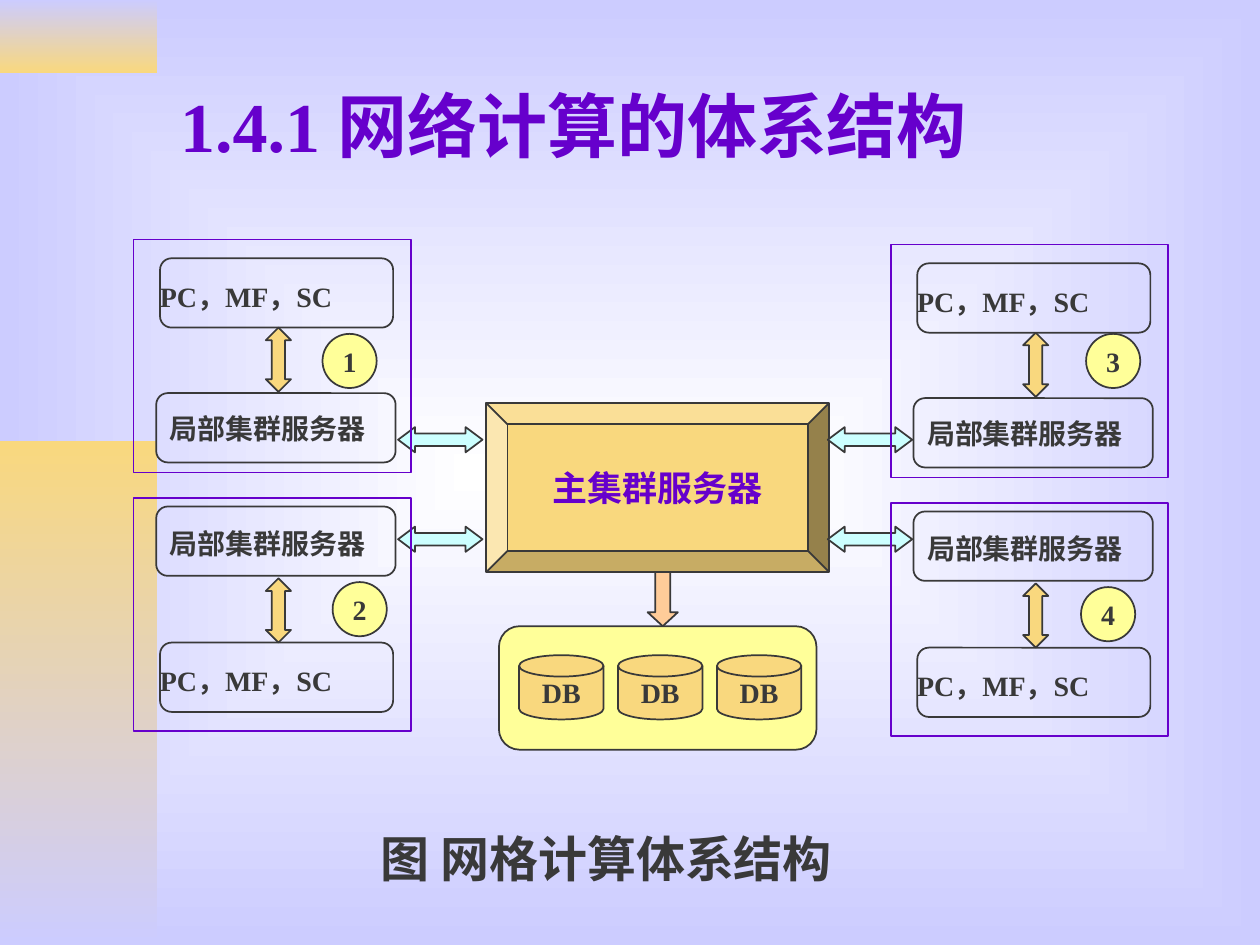
"""Build the slide on the architecture of network computing."""
from lxml.etree import SubElement
from pptx import Presentation
from pptx.dml.color import RGBColor
from pptx.enum.shapes import MSO_SHAPE
from pptx.enum.text import MSO_ANCHOR, PP_ALIGN
from pptx.oxml.ns import qn
from pptx.util import Inches, Pt

THEME = {
    "font": "Times New Roman",
    "ink": "393939", "violet": "6600CC", "gold": "F9D87E", "yellow": "FFFF99",
    "aqua": "CCFFFF", "peach": "FFCC99", "lilac": "CCCCFF", "white": "FFFFFF",
    "title": 40, "caption": 28, "main": 20, "label": 16, "line": 1,
}
TITLE = "1.4.1 网络计算的体系结构"
CAPTION = "图 网格计算体系结构"
MAIN_SERVER = "主集群服务器"
LOCAL_SERVER = "局部集群服务器"
MACHINES = "PC，MF，SC"
DATABASES = ["DB"] * 3

ROWS = {
    "top": {"frame": 1.9, "machines": 2.05, "arrow": 2.6, "server": 3.12, "text": 3.22},
    "bottom": {"frame": 3.95, "machines": 5.1, "arrow": 4.59, "server": 4.02, "text": 4.13},
}
SIDES = {"left": (0, 0), "right": (6.01, 0.04)}
CLUSTERS = [
    ("1", "left", "top", 2.56, 2.65),
    ("2", "left", "bottom", 2.64, 4.62),
    ("3", "right", "top", 8.62, 2.65),
    ("4", "right", "bottom", 8.58, 4.66),
]
LINK_X = (3.16, 6.57)
LINK_Y = (3.39, 4.18)
DB_X, DB_PITCH = 4.12, 0.785


def color(name):
    return RGBColor.from_string(THEME[name])


def set_gradient(fill, *names):
    fill.gradient()
    for stop, name in zip(fill.gradient_stops, names):
        stop.color.rgb = color(name)


def write(sp, text, size="label", ink="ink", align=PP_ALIGN.LEFT, wrap=False):
    tf = sp.text_frame
    tf.word_wrap = wrap
    p = tf.paragraphs[0]
    p.text = text
    p.alignment = align
    font = p.font
    font.name, font.size, font.bold = THEME["font"], Pt(THEME[size]), True
    font.color.rgb = color(ink)
    return tf


def add_shape(slide, kind, box, fill=None, line="ink", adj=()):
    sp = slide.shapes.add_shape(kind, *map(Inches, box))
    sp.shadow.inherit = False
    if fill:
        sp.fill.solid()
        sp.fill.fore_color.rgb = color(fill)
    else:
        sp.fill.background()
    if line:
        sp.line.color.rgb = color(line)
        sp.line.width = Pt(THEME["line"])
    else:
        sp.line.fill.background()
    for i, value in enumerate(adj):
        sp.adjustments[i] = value
    return sp


def add_label(slide, text, box, size="label"):
    write(slide.shapes.add_textbox(*map(Inches, box)), text, size)


def add_node(slide, kind, box, text, fill, size="label", ink="ink"):
    sp = add_shape(slide, kind, box, fill)
    write(sp, text, size, ink, PP_ALIGN.CENTER).vertical_anchor = MSO_ANCHOR.MIDDLE


def add_background(slide):
    set_gradient(slide.background.fill, "white", "lilac")
    grad = slide.element.find(".//" + qn("a:gradFill"))
    grad.remove(grad.find(qn("a:lin")))
    path = SubElement(grad, qn("a:path"), {"path": "rect"})
    SubElement(path, qn("a:fillToRect"), dict.fromkeys("ltrb", "50000"))
    for top, height, names in [(0, 0.58, ("lilac", "gold")), (3.5, 4, ("gold", "lilac"))]:
        band = add_shape(slide, MSO_SHAPE.RECTANGLE, (0, top, 1.25, height), line=None)
        set_gradient(band.fill, *names)
        band.fill.gradient_angle = 270


def add_center(slide):
    add_node(slide, MSO_SHAPE.BEVEL, (3.86, 3.2, 2.72, 1.34), MAIN_SERVER, "gold", "main", "violet")
    for x in LINK_X:
        for y in LINK_Y:
            add_shape(slide, MSO_SHAPE.LEFT_RIGHT_ARROW, (x, y, 0.67, 0.2), "aqua", adj=(0.5, 0.67))
    add_shape(slide, MSO_SHAPE.ROUNDED_RECTANGLE, (3.96, 4.97, 2.52, 0.98), "yellow")
    for i, name in enumerate(DATABASES):
        box = (DB_X + i * DB_PITCH, 5.2, 0.67, 0.51)
        add_node(slide, MSO_SHAPE.FLOWCHART_MAGNETIC_DISK, box, name, "gold")
    add_shape(slide, MSO_SHAPE.DOWN_ARROW, (5.14, 4.54, 0.24, 0.43), "peach", adj=(0.5, 0.46))


def add_cluster(slide, number, side, row, badge_x, badge_y):
    dx, dy = SIDES[side]
    y = {part: top + dy for part, top in ROWS[row].items()}
    process = MSO_SHAPE.FLOWCHART_ALTERNATE_PROCESS
    add_shape(slide, process, (1.27 + dx, y["machines"], 1.85, 0.55))
    add_label(slide, MACHINES, (1.17 + dx, y["machines"] + 0.12, 1.78, 0.37))
    add_shape(slide, process, (1.24 + dx, y["server"], 1.9, 0.55))
    add_label(slide, LOCAL_SERVER, (1.25 + dx, y["text"], 1.75, 0.37))
    add_shape(slide, MSO_SHAPE.UP_DOWN_ARROW, (2.11 + dx, y["arrow"], 0.2, 0.51), "gold", adj=(0.5, 0.52))
    add_shape(slide, MSO_SHAPE.RECTANGLE, (1.06 + dx, y["frame"], 2.2, 1.85), line="violet")
    add_node(slide, MSO_SHAPE.OVAL, (badge_x, badge_y, 0.43, 0.43), number, "yellow")


def main():
    prs = Presentation()
    prs.slide_width, prs.slide_height = Inches(10), Inches(7.5)
    slide = prs.slides.add_slide(prs.slide_layouts[5])
    add_background(slide)
    title = slide.shapes.title
    title.left, title.top, title.width, title.height = map(Inches, (1.33, 0.33, 8.5, 1.32))
    write(title, TITLE, "title", "violet", wrap=True).vertical_anchor = MSO_ANCHOR.MIDDLE
    add_label(slide, CAPTION, (2.92, 6.53, 3.78, 0.57), "caption")
    add_center(slide)
    for cluster in CLUSTERS:
        add_cluster(slide, *cluster)
    prs.save("out.pptx")


if __name__ == "__main__":
    main()
